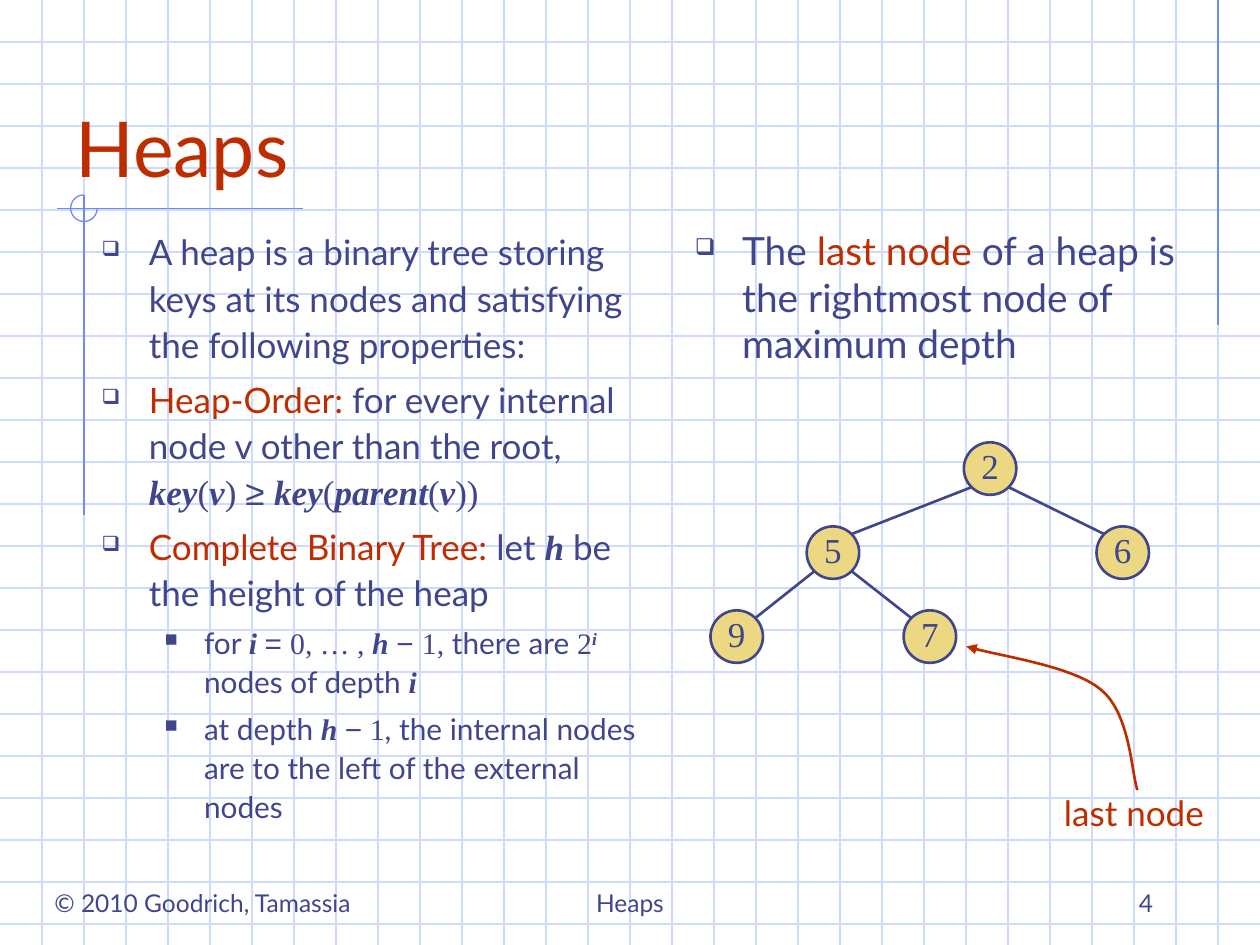
from math import sqrt

from lxml import etree
from pptx import Presentation
from pptx.dml.color import RGBColor
from pptx.enum.shapes import MSO_CONNECTOR, MSO_SHAPE
from pptx.enum.text import MSO_ANCHOR, PP_ALIGN
from pptx.oxml.ns import qn
from pptx.util import Pt

LEFT, CENTER, RIGHT = PP_ALIGN.LEFT, PP_ALIGN.CENTER, PP_ALIGN.RIGHT
TOP, MIDDLE, BOTTOM = MSO_ANCHOR.TOP, MSO_ANCHOR.MIDDLE, MSO_ANCHOR.BOTTOM
STRAIGHT = MSO_CONNECTOR.STRAIGHT

THEME = {
    "ink": "40458C", "accent": "BE2D00", "node": "ECD882",
    "grid": "CFDBFD", "rule": "6F89F7",
    "title": 44, "last": 22.2, "body": 20, "sub": 17, "footer": 14,
    "thin": 0.75, "thick": 1.5,
}
# Run styles: font, colour, bold italic, superscript
STYLES = {
    "text": ("Lato", "ink", False, False),
    "term": ("Lato", "accent", False, False),
    "math": ("Times New Roman", "ink", False, False),
    "var": ("Times New Roman", "ink", True, False),
    "power": ("Times New Roman", "ink", True, True),
    "sign": ("Arial", "ink", False, False),
}
# Bullet levels: character, indent, hanging, space before, line spacing, size
BULLETS = {
    "main": ("❑", 27, 27, 5, 1.1, "body"),
    "sub": ("■", 58.5, 22.5, 4.2, 1.1, "sub"),
    "last": ("❑", 27, 27, 6, 1, "last"),
}

# Content
WIDTH, HEIGHT, GRID_STEP = 720, 540, 24
PROPERTIES = [
    ("main", [("A heap is a binary tree storing keys at its nodes and "
               "satisfying the following properties:", "text")]),
    ("main", [("Heap-Order:", "term"),
              (" for every internal node v other than the root,\n", "text"),
              ("key", "var"), ("(", "math"), ("v", "var"), (") ", "math"),
              ("≥ ", "sign"), ("key", "var"), ("(", "math"),
              ("parent", "var"), ("(", "math"), ("v", "var"), ("))", "math")]),
    ("main", [("Complete Binary Tree:", "term"), (" let ", "text"),
              ("h", "var"), (" be the height of the heap", "text")]),
    ("sub", [("for ", "text"), ("i ", "var"), ("= ", "sign"),
             ("0, … , ", "math"), ("h ", "var"), ("− ", "sign"),
             ("1,", "math"), (" there are ", "text"), ("2", "math"),
             ("i", "power"), (" nodes of depth ", "text"), ("i", "var")]),
    ("sub", [("at depth ", "text"), ("h ", "var"), ("−", "sign"),
             (" 1", "math"), (", the internal nodes are to the left of the "
                              "external nodes", "text")]),
]
LAST_NODE = [("last", [("The", "text"), (" last node", "term"),
                       (" of a heap is the rightmost node of maximum depth",
                        "text")])]
# Text, box, size, style, alignment, anchor, wrap
LABELS = [
    ("Heaps", (36, 24, 612, 90), "title", "term", LEFT, BOTTOM, True),
    ("last node", (597.5, 448.5, 101, 31.5), "body", "term", CENTER, TOP, False),
    ("© 2010 Goodrich, Tamassia", (24, 492, 210, 36), "footer", "text",
     LEFT, BOTTOM, True),
    ("Heaps", (246, 492, 228, 36), "footer", "text", CENTER, BOTTOM, True),
    ("4", (516, 492, 150, 36), "footer", "text", RIGHT, BOTTOM, True),
]
# Tree: key -> (centre x, depth, parent)
TREE = {"2": (565.8, 0, None), "5": (476, 1, "2"), "6": (641.6, 1, "2"),
        "9": (421, 2, "5"), "7": (531.4, 2, "5")}
ROOT_Y, LEVEL_GAP, DIAMETER = 267.8, 48, 30
RULES = [(696, 0, 696, 186), (173, 119.2, 32.5, 119.2), (48, 111.5, 48, 294.5)]
RING = (40.4, 111.4, 15.2, 15.2)
# Pointer: start, then Bezier segments
POINTER_START = (650, 451.5)
POINTER_CURVES = [((646.6, 442, 646, 407.5), (629, 394)),
                  ((612.5, 380, 568, 374.5), (552.2, 369.4))]


def color(name):
    return RGBColor.from_string(THEME[name])


def add_runs(paragraph, runs, size):
    for text, style in runs:
        font_name, tint, strong, raised = STYLES[style]
        run = paragraph.add_run()
        run.text = text.rstrip("\n")
        font = run.font
        font.name, font.size = font_name, Pt(THEME[size])
        font.bold = font.italic = strong
        font.color.rgb = color(tint)
        if raised:
            run._r.get_or_add_rPr().set("baseline", "30000")
        if text.endswith("\n"):
            paragraph.add_line_break()


def set_bullet(paragraph, character, indent, hanging):
    properties = paragraph._p.get_or_add_pPr()
    properties.set("marL", str(Pt(indent)))
    properties.set("indent", str(-Pt(hanging)))
    tint = etree.SubElement(properties, qn("a:buClr"))
    etree.SubElement(tint, qn("a:srgbClr"), val=THEME["ink"])
    etree.SubElement(properties, qn("a:buSzPct"), val="60000")
    etree.SubElement(properties, qn("a:buChar"), char=character)


def write(shape, text, size="body", style="text", align=LEFT, anchor=TOP, wrap=True):
    frame = shape.text_frame
    frame.word_wrap, frame.vertical_anchor = wrap, anchor
    paragraph = frame.paragraphs[0]
    paragraph.alignment = align
    add_runs(paragraph, [(text, style)], size)


def add_box(slide, box):
    return slide.shapes.add_textbox(*map(Pt, box))


def add_bullets(slide, box, items):
    frame = add_box(slide, box).text_frame
    frame.word_wrap = True
    for index, (level, runs) in enumerate(items):
        character, indent, hanging, before, spacing, size = BULLETS[level]
        paragraph = frame.add_paragraph() if index else frame.paragraphs[0]
        paragraph.line_spacing, paragraph.space_before = float(spacing), Pt(before)
        set_bullet(paragraph, character, indent, hanging)
        add_runs(paragraph, runs, size)


def set_line(shape, tint, width):
    shape.line.color.rgb, shape.line.width = color(tint), Pt(THEME[width])


def add_line(slide, ends, tint, width):
    line = slide.shapes.add_connector(STRAIGHT, *map(Pt, ends))
    set_line(line, tint, width)
    etree.SubElement(line._element.spPr, qn("a:effectLst"))


def add_background(slide):
    for y in range(GRID_STEP, HEIGHT, GRID_STEP):
        add_line(slide, (0, y, WIDTH, y), "grid", "thin")
    for x in range(GRID_STEP, WIDTH, GRID_STEP):
        add_line(slide, (x, 0, x, HEIGHT), "grid", "thin")
    for ends in RULES:
        add_line(slide, ends, "rule", "thin")
    ring = slide.shapes.add_shape(MSO_SHAPE.ARC, *map(Pt, RING))
    ring.adjustments[0], ring.adjustments[1] = 0, 162  # right, clockwise to top
    ring.shadow.inherit = False
    ring.fill.background()
    set_line(ring, "rule", "thin")


def add_tree(slide):
    offset = DIAMETER / 2 / sqrt(2)
    for key, (x, depth, parent) in TREE.items():
        y = ROOT_Y + depth * LEVEL_GAP
        node = slide.shapes.add_shape(MSO_SHAPE.OVAL, Pt(x - DIAMETER / 2),
                                      Pt(y - DIAMETER / 2), Pt(DIAMETER), Pt(DIAMETER))
        node.shadow.inherit = False
        node.fill.solid()
        node.fill.fore_color.rgb = color("node")
        set_line(node, "ink", "thick")
        frame = node.text_frame
        frame.margin_left = frame.margin_right = frame.margin_top = 0
        write(node, key, style="math", align=CENTER, anchor=MIDDLE, wrap=False)
        if parent:
            parent_x = TREE[parent][0]
            side = offset if x > parent_x else -offset
            add_line(slide, (parent_x + side, y - LEVEL_GAP + offset,
                             x - side, y - offset), "ink", "thick")


def add_pointer(slide, steps=16):
    points, start = [], POINTER_START
    for (ax, ay, bx, by), end in POINTER_CURVES:
        for step in range(1, steps + 1):
            t = step / steps
            weights = ((1 - t) ** 3, 3 * t * (1 - t) ** 2, 3 * t * t * (1 - t), t ** 3)
            corners = (start, (ax, ay), (bx, by), end)
            points.append(tuple(Pt(sum(w * c[axis] for w, c in zip(weights, corners)))
                                for axis in (0, 1)))
        start = end
    builder = slide.shapes.build_freeform(*map(Pt, POINTER_START))
    builder.add_line_segments(points, close=False)
    pointer = builder.convert_to_shape()
    pointer.shadow.inherit = False
    pointer.fill.background()
    set_line(pointer, "accent", "thick")
    etree.SubElement(pointer.line._get_or_add_ln(), qn("a:tailEnd"), type="triangle")


def main():
    presentation = Presentation()
    presentation.slide_width, presentation.slide_height = Pt(WIDTH), Pt(HEIGHT)
    slide = presentation.slides.add_slide(presentation.slide_layouts[6])
    add_background(slide)
    add_bullets(slide, (51, 126, 333.5, 378), PROPERTIES)
    add_bullets(slide, (390, 126, 300, 114), LAST_NODE)
    add_tree(slide)
    add_pointer(slide)
    for text, box, size, style, align, anchor, wrap in LABELS:
        write(add_box(slide, box), text, size=size, style=style,
              align=align, anchor=anchor, wrap=wrap)
    presentation.save("out.pptx")


if __name__ == "__main__":
    main()
